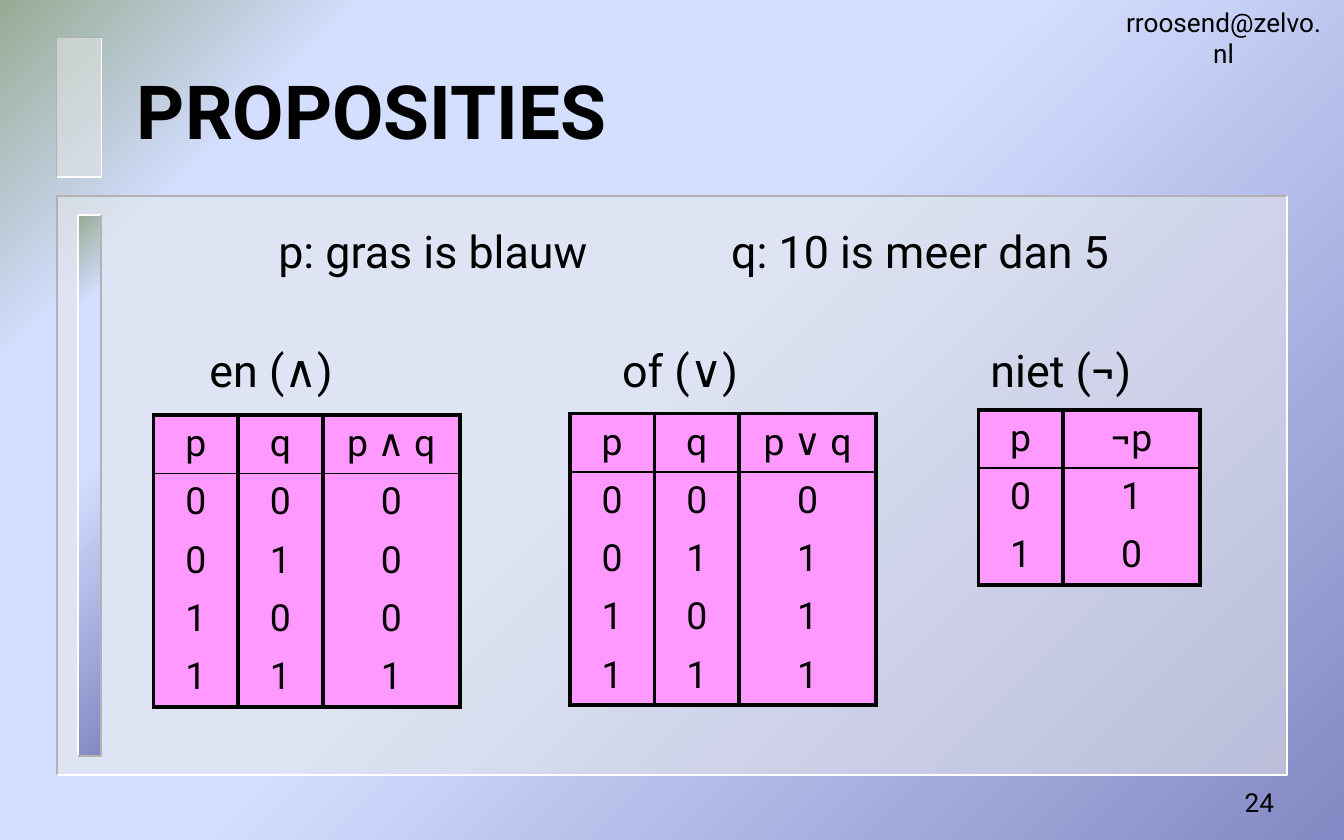
from lxml import etree
from pptx import Presentation
from pptx.dml.color import RGBColor
from pptx.enum.shapes import MSO_SHAPE
from pptx.enum.text import MSO_ANCHOR, PP_ALIGN
from pptx.oxml import parse_xml
from pptx.oxml.ns import qn
from pptx.util import Cm, Pt

LEFT, CENTER, RIGHT = PP_ALIGN.LEFT, PP_ALIGN.CENTER, PP_ALIGN.RIGHT
TOP, MIDDLE = MSO_ANCHOR.TOP, MSO_ANCHOR.MIDDLE
RECTANGLE = MSO_SHAPE.RECTANGLE
FONT = "Roboto"
COLORS = {"text": "000000", "panel": "EAEAEA", "dark": "B2B2B2", "light": "FFFFFF",
          "cell": "FF99FF", "indigo": "8488C4", "sky": "D4DEFF", "green": "96AB94"}
NAMESPACE = "http://schemas.openxmlformats.org/drawingml/2006/main"
STOPS = [(0, "indigo"), (53, "sky"), (83, "sky"), (100, "green")]
GRADIENT = (
    f'<a:gradFill xmlns:a="{NAMESPACE}" rotWithShape="1"><a:gsLst>'
    + "".join(f'<a:gs pos="{position * 1000}"><a:srgbClr val="{COLORS[name]}"/></a:gs>'
              for position, name in STOPS)
    + '</a:gsLst><a:lin ang="13500000" scaled="0"/></a:gradFill>')


def add_text(frame, text, size, align=LEFT, anchor=MIDDLE, wrap=True, bold=False):
    frame.word_wrap = wrap
    frame.vertical_anchor = anchor
    paragraph = frame.paragraphs[0]
    paragraph.alignment = align
    run = paragraph.add_run()
    run.text = text
    run.font.name = FONT
    run.font.size = Pt(size)
    run.font.bold = bold
    run.font.color.rgb = RGBColor.from_string(COLORS["text"])
    return paragraph


def set_borders(cell, widths):
    properties = cell._tc.get_or_add_tcPr()
    for index, (side, width) in enumerate(zip("LRTB", widths)):
        line = etree.Element(qn(f"a:ln{side}"), w=str(Pt(width)))
        if width:
            fill = etree.SubElement(line, qn("a:solidFill"))
            etree.SubElement(fill, qn("a:srgbClr"), val=COLORS["text"])
        else:
            etree.SubElement(line, qn("a:noFill"))
        properties.insert(index, line)


presentation = Presentation()
presentation.slide_width = Cm(25.4)
presentation.slide_height = Cm(15.88)
slide = presentation.slides.add_slide(presentation.slide_layouts[6])
shapes = slide.shapes

# Background gradient
slide.background.fill.solid()
solid_fill = next(slide._element.iter(qn("a:solidFill")))
solid_fill.getparent().replace(solid_fill, parse_xml(GRADIENT))

# Bevelled panels: left, top, width, height, raised
panels = [(1.08, 3.71, 23.24, 10.94, False),
          (1.47, 4.06, 0.44, 10.23, True),
          (1.07, 0.71, 0.85, 2.64, False)]
for left, top, width, height, raised in panels:
    panel = shapes.add_shape(RECTANGLE, Cm(left), Cm(top), Cm(width), Cm(height))
    panel.shadow.inherit = False
    panel.line.fill.background()
    panel.fill.solid()
    panel.fill.fore_color.rgb = RGBColor.from_string(COLORS["panel"])
    fill = panel._element.spPr.find(qn("a:solidFill"))
    if raised:
        fill.getparent().replace(fill, parse_xml(GRADIENT))
    else:
        etree.SubElement(fill[0], qn("a:alpha"), val="50000")

    # Top-left and bottom-right edges
    right, bottom = left + width, top + height
    edge_colors = ("light", "dark") if raised else ("dark", "light")
    for corner, color in zip([(left, top), (right, bottom)], edge_colors):
        builder = shapes.build_freeform(Cm(right), Cm(top))
        builder.add_line_segments(
            [(Cm(x), Cm(y)) for x, y in (corner, (left, bottom))], close=False)
        edge = builder.convert_to_shape()
        edge.shadow.inherit = False
        edge.fill.background()
        edge.line.width = Pt(1)
        edge.line.color.rgb = RGBColor.from_string(COLORS[color])

# Title, address and slide number
title = shapes.add_textbox(Cm(2.34), Cm(0.79), Cm(21.59), Cm(2.57))
add_text(title.text_frame, "PROPOSITIES", 40, bold=True)
address = shapes.add_textbox(Cm(21.03), Cm(0.18), Cm(4.19), Cm(1.07))
add_text(address.text_frame, "rroosend@zelvo.nl", 14, CENTER, wrap=False)
number = shapes.add_textbox(Cm(19.05), Cm(14.63), Cm(5.28), Cm(1.07))
add_text(number.text_frame, "24", 14, RIGHT, wrap=False)

# Statements, set apart by a tab stop
statements = shapes.add_textbox(Cm(1.5), Cm(4.1), Cm(23.19), Cm(9.5))
statements.text_frame.margin_left = Cm(3.76)
paragraph = add_text(statements.text_frame, "p: gras is blauw\tq: 10 is meer dan 5", 24, anchor=TOP)
tabs = etree.SubElement(paragraph._p.get_or_add_pPr(), qn("a:tabLst"))
etree.SubElement(tabs, qn("a:tab"), pos=str(Cm(8.56)), algn="l")

# Truth tables: label, label left, table left, top, row height, rows
truth_tables = [
    ("en (∧)", 3.71, 2.9, 7.85, 1.08,
     [("p", "q", "p ∧ q"), "000", "010", "100", "111"]),
    ("of (∨)", 11.51, 10.77, 7.82, 1.08,
     [("p", "q", "p ∨ q"), "000", "011", "101", "111"]),
    ("niet (¬)", 18.47, 18.49, 7.75, 1.1,
     [("p", "¬p"), "01", "10"]),
]
for label, label_left, left, top, row_height, rows in truth_tables:
    label_box = shapes.add_textbox(Cm(label_left), Cm(6.35), Cm(4.19), Cm(1.27))
    add_text(label_box.text_frame, label, 24)

    widths = [1.6] * (len(rows[0]) - 1) + [2.59]
    table = shapes.add_table(len(rows), len(widths), Cm(left), Cm(top),
                             Cm(sum(widths)), Cm(row_height * len(rows))).table
    table.first_row = False
    table.horz_banding = False
    for column, width in zip(table.columns, widths):
        column.width = Cm(width)
    for row_index, values in enumerate(rows):
        table.rows[row_index].height = Cm(row_height)
        top_width = {0: 2.25, 1: 1}.get(row_index, 0)
        bottom_width = {0: 1, len(rows) - 1: 2.25}.get(row_index, 0)
        for column_index, value in enumerate(values):
            cell = table.cell(row_index, column_index)
            cell.fill.solid()
            cell.fill.fore_color.rgb = RGBColor.from_string(COLORS["cell"])
            add_text(cell.text_frame, value, 20, CENTER, TOP)
            set_borders(cell, (2.25, 2.25, top_width, bottom_width))

presentation.save("out.pptx")
